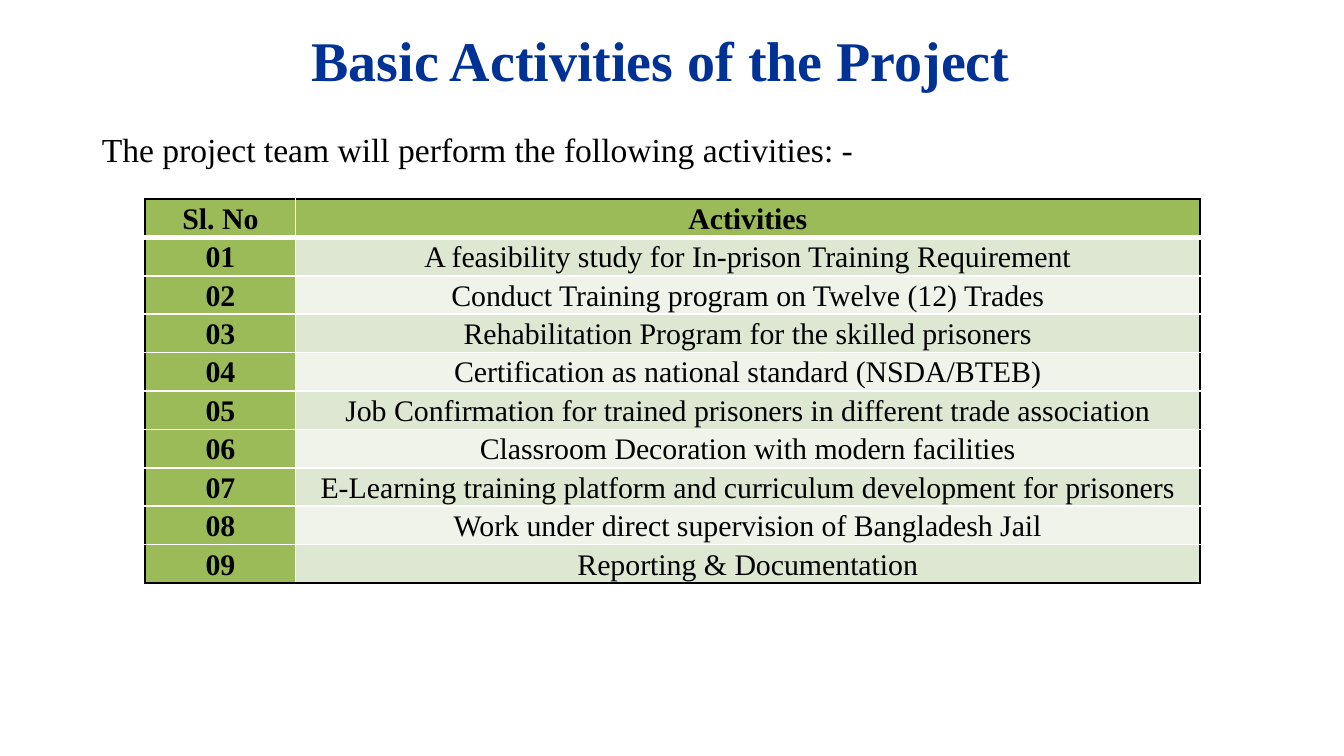
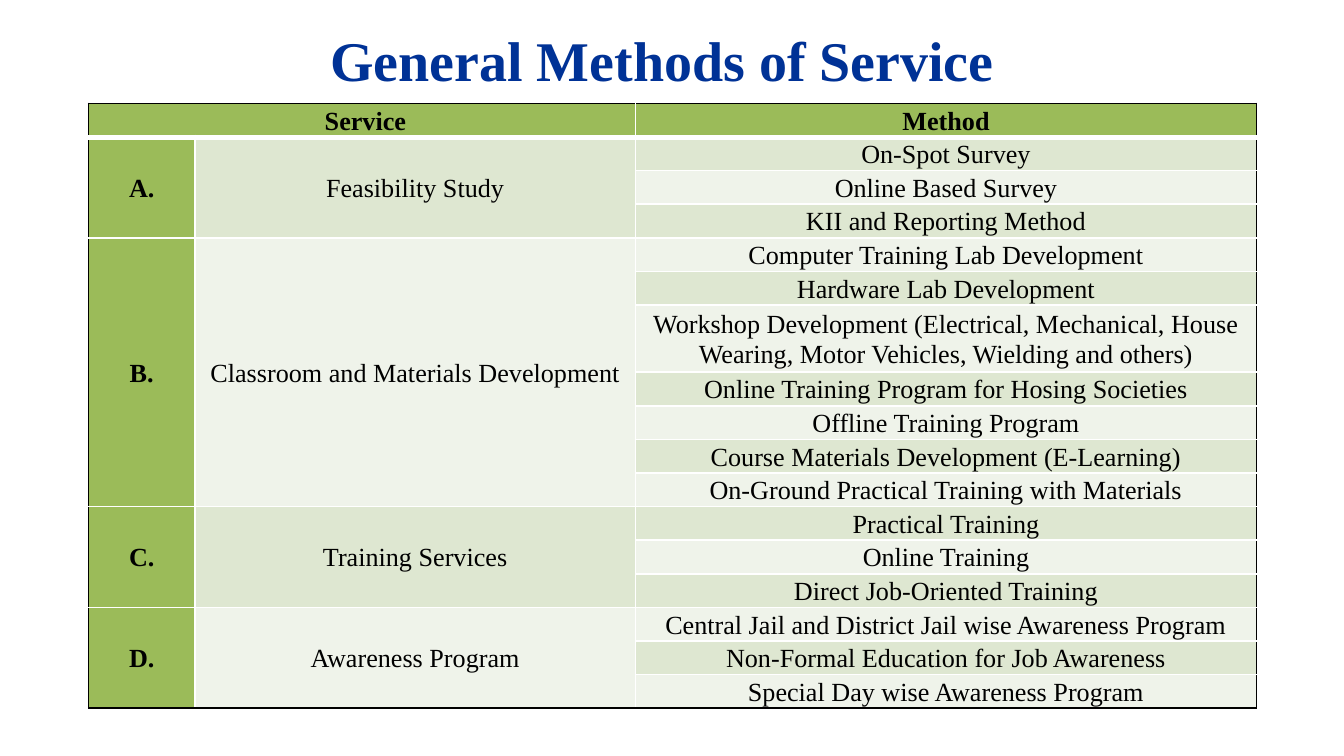
from dataclasses import dataclass

from lxml import etree
from pptx import Presentation
from pptx.dml.color import RGBColor
from pptx.enum.text import MSO_ANCHOR, MSO_AUTO_SIZE, PP_ALIGN
from pptx.oxml.ns import qn
from pptx.util import Inches, Pt

CENTER = PP_ALIGN.CENTER
MIDDLE = MSO_ANCHOR.MIDDLE
FIT_SHAPE = MSO_AUTO_SIZE.SHAPE_TO_FIT_TEXT

# Shared look
FONT = "Times New Roman"
NAVY = "003296"
BLACK = "000000"
WHITE = "FFFFFF"
GREEN = "9BBB59"
BANDS = ("DEE7D1", "EFF3EA")


@dataclass(frozen=True)
class Entry:
    """One table entry, with the rows and columns it covers."""
    row: int
    col: int
    text: str
    fill: str
    bold: bool = False
    row_span: int = 1
    col_span: int = 1


@dataclass(frozen=True)
class Grid:
    """Place and measures of a table, in inches and points."""
    left: float
    top: float
    col_widths: list[float]
    row_heights: list[float]
    text_size: int


@dataclass(frozen=True)
class Service:
    letter: str
    name: str
    methods: list[str]


ACTIVITIES = [
    "A feasibility study for In-prison Training Requirement",
    "Conduct Training program on Twelve (12) Trades",
    "Rehabilitation Program for the skilled prisoners",
    "Certification as national standard (NSDA/BTEB)",
    "Job Confirmation for trained prisoners in different trade association",
    "Classroom Decoration with modern facilities",
    "E-Learning training platform and curriculum development for prisoners",
    "Work under direct supervision of Bangladesh Jail",
    "Reporting & Documentation",
]

WORKSHOP = ("Workshop Development (Electrical, Mechanical, House Wearing, "
            "Motor Vehicles, Wielding and others)")

SERVICES = [
    Service("A.", "Feasibility Study", [
        "On-Spot Survey",
        "Online Based Survey",
        "KII and Reporting Method",
    ]),
    Service("B.", "Classroom and Materials Development", [
        "Computer Training Lab Development",
        "Hardware Lab Development",
        WORKSHOP,
        "Online Training Program for Hosing Societies",
        "Offline Training Program",
        "Course Materials Development (E-Learning)",
        "On-Ground Practical Training with Materials",
    ]),
    Service("C.", "Training Services", [
        "Practical Training",
        "Online Training",
        "Direct Job-Oriented Training",
    ]),
    Service("D.", "Awareness Program", [
        "Central Jail and District Jail wise Awareness Program",
        "Non-Formal Education for Job Awareness",
        "Special Day wise Awareness Program",
    ]),
]


def rgb(color: str) -> RGBColor:
    return RGBColor.from_string(color)


def band(row: int) -> str:
    """Fill of a body row; row 0 is the header."""
    return BANDS[(row - 1) % 2]


def style_font(paragraph, size: int, color: str, bold: bool) -> None:
    font = paragraph.font
    font.name, font.size, font.bold = FONT, Pt(size), bold
    font.color.rgb = rgb(color)


def add_line_of_text(slide, text: str, left: float, top: float, width: float,
                     height: float, size: int, color: str = BLACK, bold: bool = False) -> None:
    frame = slide.shapes.add_textbox(
        Inches(left), Inches(top), Inches(width), Inches(height)).text_frame
    frame.word_wrap = False
    frame.auto_size = FIT_SHAPE
    frame.text = text
    style_font(frame.paragraphs[0], size, color, bold)


def add_title(slide, text: str, left: float, width: float) -> None:
    add_line_of_text(slide, text, left, 0.14, width, 0.61, 30, NAVY, True)


def add_border(cell, side: str, color: str, points: int) -> None:
    properties = cell._tc.get_or_add_tcPr()
    line = etree.SubElement(properties, qn(f"a:ln{side}"), w=str(Pt(points)))
    fill = etree.SubElement(line, qn("a:solidFill"))
    etree.SubElement(fill, qn("a:srgbClr"), val=color)


def style_cell(cell, entry: Entry, grid: Grid) -> None:
    """Black on the table's outer edges, white inside, thicker below the header."""
    end_row, end_col = entry.row + entry.row_span, entry.col + entry.col_span
    outer = {
        "L": entry.col == 0,
        "R": end_col == len(grid.col_widths),
        "T": entry.row == 0,
        "B": end_row == len(grid.row_heights),
    }
    under_header = {"T": entry.row == 1, "B": end_row == 1}
    for side, is_outer in outer.items():
        add_border(cell, side, BLACK if is_outer else WHITE,
                   3 if under_header.get(side) else 1)
    cell.fill.solid()
    cell.fill.fore_color.rgb = rgb(entry.fill)
    cell.margin_left = cell.margin_right = Inches(0.07)
    cell.margin_top = cell.margin_bottom = Inches(0)
    cell.vertical_anchor = MIDDLE
    paragraph = cell.text_frame.paragraphs[0]
    paragraph.alignment = CENTER
    paragraph.line_spacing = 1.07
    paragraph.space_after = Pt(8 if entry.row_span == 1 else 0)
    style_font(paragraph, grid.text_size, BLACK, entry.bold)


def add_grid(slide, grid: Grid, entries: list[Entry]) -> None:
    table = slide.shapes.add_table(
        len(grid.row_heights), len(grid.col_widths), Inches(grid.left), Inches(grid.top),
        Inches(sum(grid.col_widths)), Inches(sum(grid.row_heights))).table
    table.first_row = table.horz_banding = False
    for column, width in zip(table.columns, grid.col_widths):
        column.width = Inches(width)
    for row, height in zip(table.rows, grid.row_heights):
        row.height = Inches(height)
    for entry in entries:
        first = table.cell(entry.row, entry.col)
        first.text = entry.text
        for row in range(entry.row, entry.row + entry.row_span):
            for col in range(entry.col, entry.col + entry.col_span):
                style_cell(table.cell(row, col), entry, grid)
        if entry.row_span * entry.col_span > 1:
            first.merge(table.cell(entry.row + entry.row_span - 1,
                                   entry.col + entry.col_span - 1))


def build_activities(slide) -> None:
    add_title(slide, "Basic Activities of the Project", 2.22, 5.55)
    add_line_of_text(slide, "The project team will perform the following activities: -",
                     0.66, 0.91, 5.85, 0.4, 18)
    entries = [Entry(0, 0, "Sl. No", GREEN, True), Entry(0, 1, "Activities", GREEN, True)]
    for row, activity in enumerate(ACTIVITIES, start=1):
        entries += [Entry(row, 0, f"{row:02}", GREEN, True),
                    Entry(row, 1, activity, band(row))]
    row_count = len(ACTIVITIES) + 1
    row_heights = [2.86 / row_count] * row_count
    add_grid(slide, Grid(1.08, 1.48, [1.12, 6.73], row_heights, 16), entries)


def build_methods(slide) -> None:
    add_title(slide, "General Methods of Service", 2.36, 5.28)
    entries = [Entry(0, 0, " Service", GREEN, True, col_span=2),
               Entry(0, 2, "Method", GREEN, True)]
    row_heights = [0.25]
    for service in SERVICES:
        start, span = len(row_heights), len(service.methods)
        entries += [Entry(start, 0, service.letter, GREEN, True, row_span=span),
                    Entry(start, 1, service.name, band(start), row_span=span)]
        for row, method in enumerate(service.methods, start=start):
            entries.append(Entry(row, 2, method, band(row)))
            row_heights.append(0.5 if method == WORKSHOP else 0.25)
    add_grid(slide, Grid(0.66, 0.77, [0.79, 3.28, 4.62], row_heights, 14), entries)


def main() -> None:
    deck = Presentation()
    # Widescreen, 16 to 9
    deck.slide_width, deck.slide_height = Inches(10), Inches(10 * 9 / 16)
    blank = deck.slide_layouts[6]
    for build in (build_activities, build_methods):
        build(deck.slides.add_slide(blank))
    deck.save("out.pptx")


if __name__ == "__main__":
    main()
